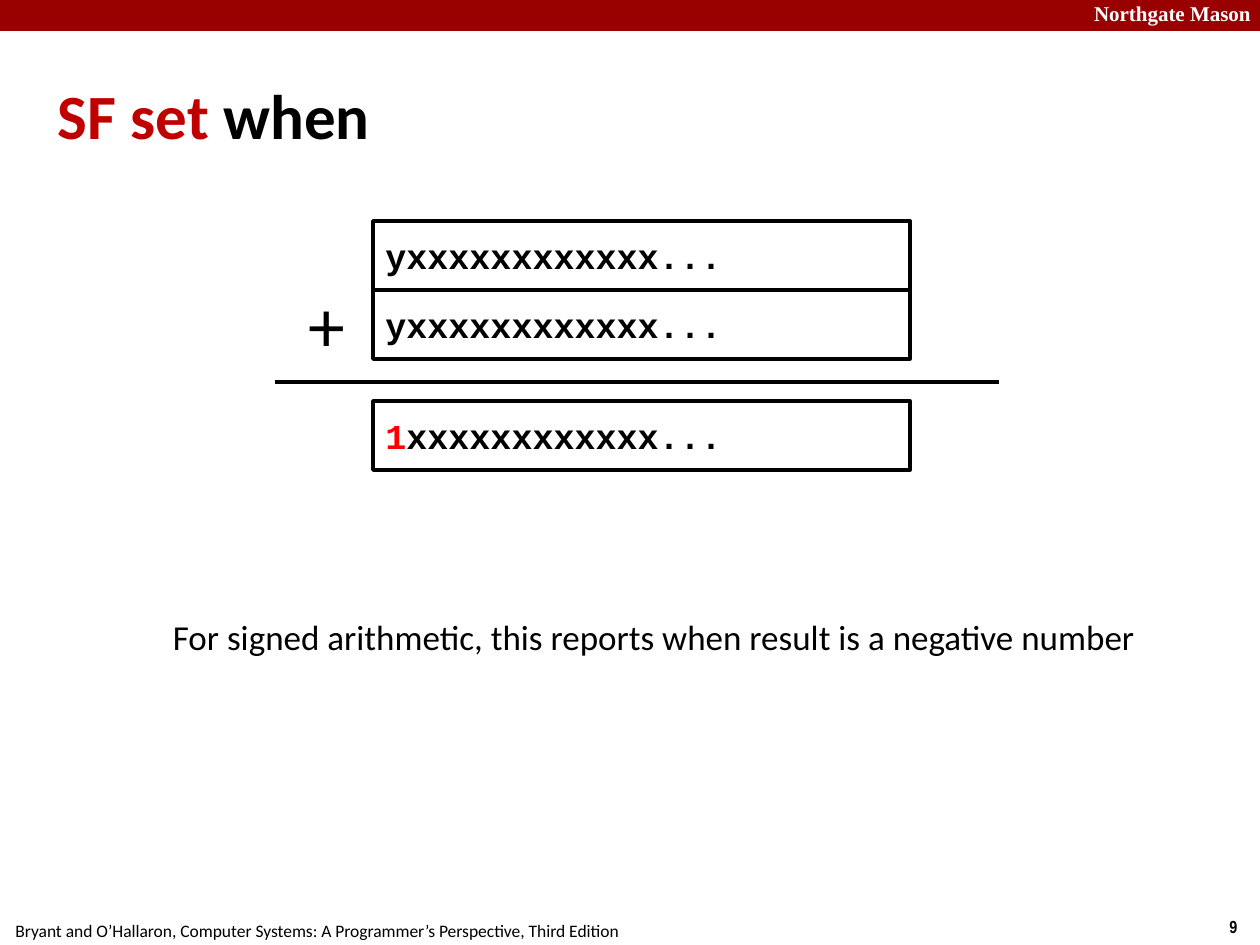
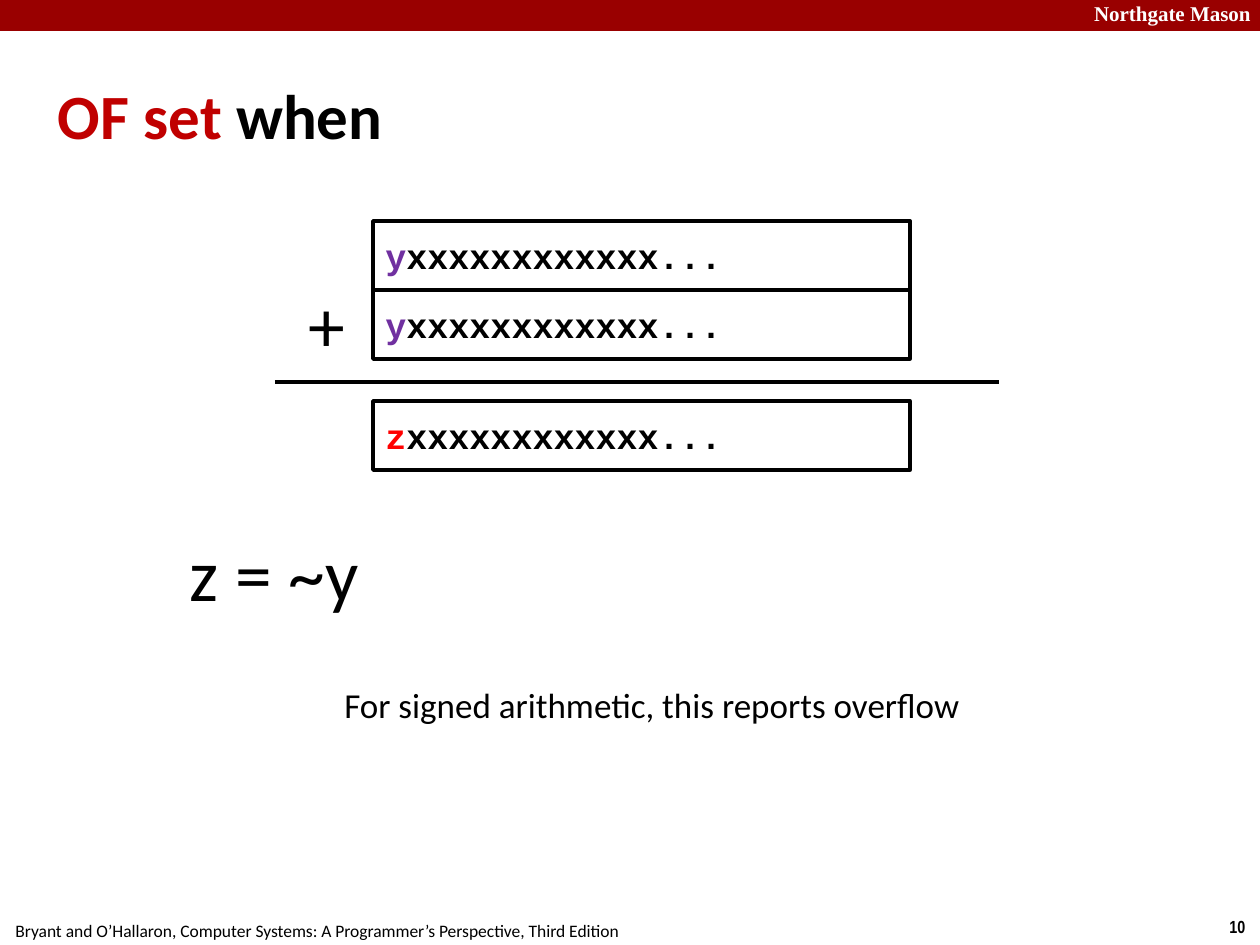
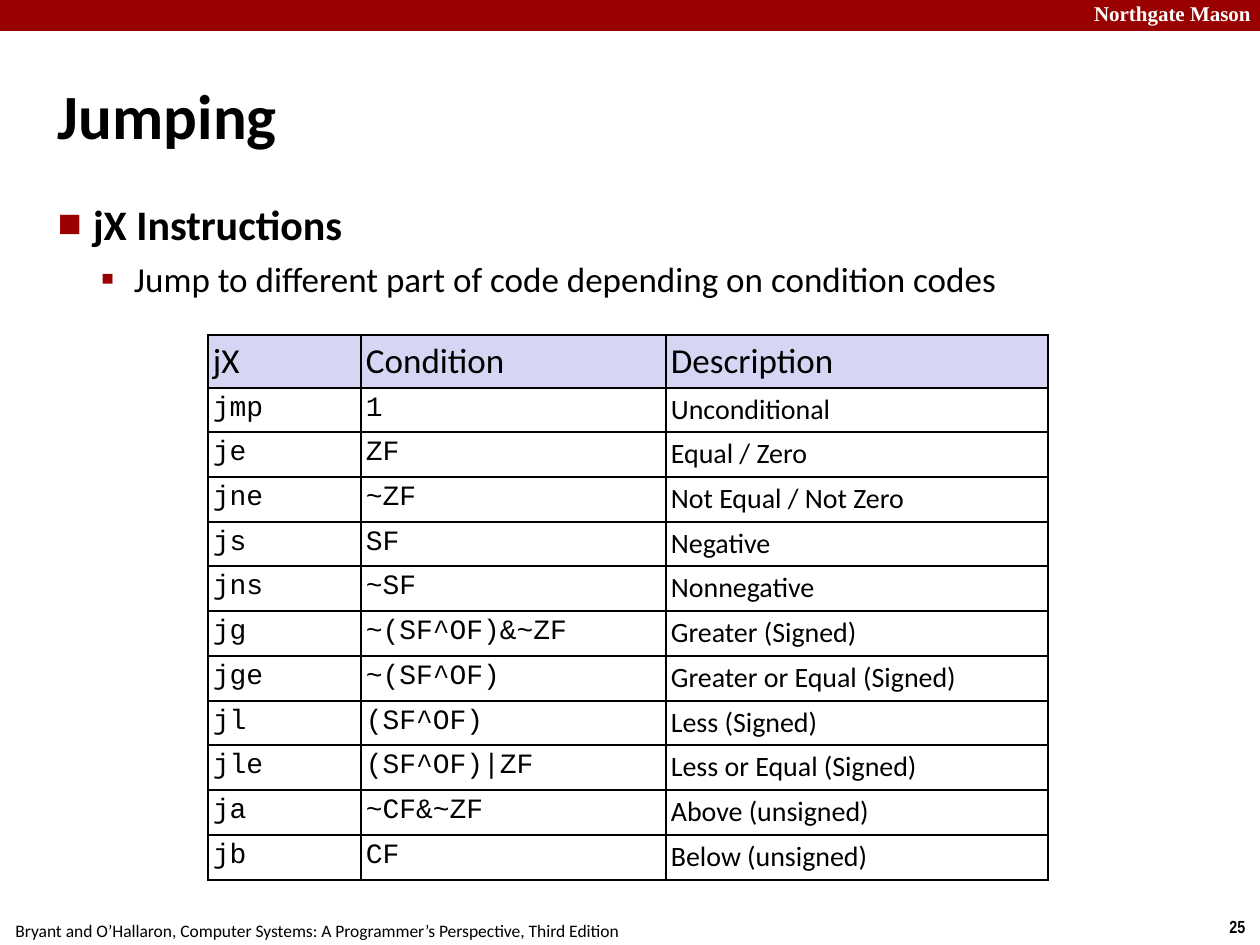
from lxml import etree
from pptx import Presentation
from pptx import util as u
from pptx.dml.color import RGBColor
from pptx.enum import shapes, text
from pptx.oxml import ns

BLACK = RGBColor(0, 0, 0)
WHITE = RGBColor(255, 255, 255)
CRIMSON = RGBColor(0x99, 0, 0)
RED = RGBColor(0xC0, 0, 0)
BRIGHT = RGBColor(255, 0, 0)
PURPLE = RGBColor(0x70, 0x30, 0xA0)
LILAC = RGBColor(0xD6, 0xD6, 0xF4)
SANS, MONO, SERIF, SLIM = "Calibri", "Courier New", "Times New Roman", "Arial Narrow"
SCALE = 914400 / 126
PAD = 5
BOOK = "Bryant and O’Hallaron, Computer Systems: A Programmer’s Perspective, Third Edition"
JUMPS = [
    ("jX", "Condition", "Description"),
    ("jmp", "1", "Unconditional"),
    ("je", "ZF", "Equal / Zero"),
    ("jne", "~ZF", "Not Equal / Not Zero"),
    ("js", "SF", "Negative"),
    ("jns", "~SF", "Nonnegative"),
    ("jg", "~(SF^OF)&~ZF", "Greater (Signed)"),
    ("jge", "~(SF^OF)", "Greater or Equal (Signed)"),
    ("jl", "(SF^OF)", "Less (Signed)"),
    ("jle", "(SF^OF)|ZF", "Less or Equal (Signed)"),
    ("ja", "~CF&~ZF", "Above (unsigned)"),
    ("jb", "CF", "Below (unsigned)"),
]


def px(*nums):
    return [u.Emu(round(n * SCALE)) for n in nums]


def node(root, tag, **attrs):
    return etree.SubElement(root, ns.qn(tag), attrs)


class Deck:
    def __init__(self):
        self.prs = Presentation()
        self.prs.slide_width, self.prs.slide_height = px(1260, 945)

    def start(self, num, *title):
        self.slide = self.prs.slides.add_slide(self.prs.slide_layouts[5])
        self.label((1217, 910, 43, 34), str(num), 10, SLIM, bold=True, align="LEFT")
        self.label((-3, 914, 640, 34), BOOK, 10, wrap=False)
        self.rect((0, 0, 1261, 31), fill=CRIMSON)
        self.label((1089, -4, 181, 35), "Northgate Mason", 12, SERIF, WHITE, True, "LEFT", PAD)
        self.title(*title)

    def title(self, *runs):
        shape = self.slide.shapes.title
        shape.left, shape.top, shape.width, shape.height = px(53, 35, 1155, 158)
        frame = shape.text_frame
        frame.auto_size = text.MSO_AUTO_SIZE.NONE
        frame.vertical_anchor = text.MSO_ANCHOR.MIDDLE
        self.inset(frame, PAD)
        self.ink(frame.paragraphs[0], runs, 36, SANS, True)

    def inset(self, item, pad):
        for side in ("left", "top", "right", "bottom"):
            setattr(item, "margin_" + side, px(pad)[0])

    def ink(self, para, runs, size, face=SANS, bold=False, align="LEFT"):
        para.alignment = getattr(text.PP_ALIGN, align)
        font = para.font
        font.name, font.size, font.bold = face, u.Pt(size), bold
        for words, color in runs:
            run = para.add_run()
            run.text = words
            run.font.color.rgb = color

    def label(self, at, words, size, face=SANS, color=BLACK, bold=False,
              align="CENTER", pad=None, wrap=True):
        frame = self.slide.shapes.add_textbox(*px(*at)).text_frame
        frame.word_wrap = wrap
        if pad is not None:
            self.inset(frame, pad)
        self.ink(frame.paragraphs[0], [(words, color)], size, face, bold, align)

    def rect(self, at, runs=(), fill=None):
        shape = self.slide.shapes.add_shape(shapes.MSO_SHAPE.RECTANGLE, *px(*at))
        shape.shadow.inherit = False
        if fill is None:
            shape.fill.background()
            shape.line.color.rgb = BLACK
            shape.line.width = u.Pt(2)
        else:
            shape.fill.solid()
            shape.fill.fore_color.rgb = fill
            shape.line.fill.background()
        if runs:
            self.ink(shape.text_frame.paragraphs[0], runs, 20, MONO, True)

    def rule(self, *ends):
        line = self.slide.shapes.add_connector(shapes.MSO_CONNECTOR.STRAIGHT, *px(*ends))
        line.line.color.rgb = BLACK
        line.line.width = u.Pt(2)
        node(line._element.spPr, "a:effectLst")

    def total(self, *bits):
        for top, (bit, color) in zip((221, 290, 401), bits):
            self.rect((373, top, 537, 69), [(bit, color), ("xxxxxxxxxxxx...", BLACK)])
        self.rule(275, 382, 999, 382)
        self.label((295, 273, 63, 102), "+", 42)

    def points(self, at, items):
        frame = self.slide.shapes.add_textbox(*px(*at)).text_frame
        frame.word_wrap = True
        self.inset(frame, PAD)
        for i, (words, size, bold, left, hang, gap, mark, ratio) in enumerate(items):
            para = frame.add_paragraph() if i else frame.paragraphs[0]
            para.level = i
            para.space_before = u.Pt(gap)
            props = para._p.get_or_add_pPr()
            props.set("marL", str(px(left)[0]))
            props.set("indent", str(px(-hang)[0]))
            node(node(props, "a:buClr"), "a:srgbClr", val=str(CRIMSON))
            node(props, "a:buSzPct", val=str(ratio * 1000))
            node(props, "a:buFont", typeface=SANS)
            node(props, "a:buChar", char=mark)
            self.ink(para, [(words, BLACK)], size, bold=bold)

    def border(self, cell):
        props = cell._tc.get_or_add_tcPr()
        for i, tag in enumerate(("a:lnL", "a:lnR", "a:lnT", "a:lnB")):
            line = etree.Element(ns.qn(tag), w=str(u.Pt(1)))
            node(node(line, "a:solidFill"), "a:srgbClr", val=str(BLACK))
            props.insert(i, line)

    def table(self, at, cols, head, body, rows):
        shape = self.slide.shapes.add_table(len(rows), len(cols), *px(*at))
        grid = shape.table
        grid.horz_banding = False
        for col, width in zip(grid.columns, cols):
            col.width = px(width)[0]
        last = len(rows) - 1
        for r, row in enumerate(rows):
            tall = head if r == 0 else body * r // last - body * (r - 1) // last
            grid.rows[r].height = px(tall)[0]
            for c, words in enumerate(row):
                cell = grid.cell(r, c)
                self.inset(cell, PAD)
                if r == 0:
                    cell.fill.solid()
                    cell.fill.fore_color.rgb = LILAC
                else:
                    cell.fill.background()
                self.border(cell)
                face = MONO if r and c < 2 else SANS
                self.ink(cell.text_frame.paragraphs[0], [(words, BLACK)], 16 if r else 20, face)


def main():
    deck = Deck()

    deck.start(9, ("SF set ", RED), ("when", BLACK))
    deck.total(("y", BLACK), ("y", BLACK), ("1", BRIGHT))
    deck.label((159, 609, 990, 55),
               "For signed arithmetic, this reports when result is a negative number", 20, wrap=False)

    deck.start(10, ("OF set ", RED), ("when", BLACK))
    deck.total(("y", PURPLE), ("y", PURPLE), ("z", BRIGHT))
    deck.label((156, 522, 236, 102), "z = ~y", 42, wrap=False)
    deck.label((328, 677, 648, 55), "For signed arithmetic, this reports overflow", 20, wrap=False)

    deck.start(25, ("Jumping", BLACK))
    deck.points((53, 193, 1155, 118), [
        ("jX Instructions", 24, True, 35, 35, 6, "■", 60),
        ("Jump to different part of code depending on condition codes",
         20, False, 76, 33, 5, "▪", 110),
    ])
    deck.table((208, 335, 840, 545), (153, 305, 382), 53, 492, JUMPS)

    deck.prs.save("out.pptx")


if __name__ == "__main__":
    main()
